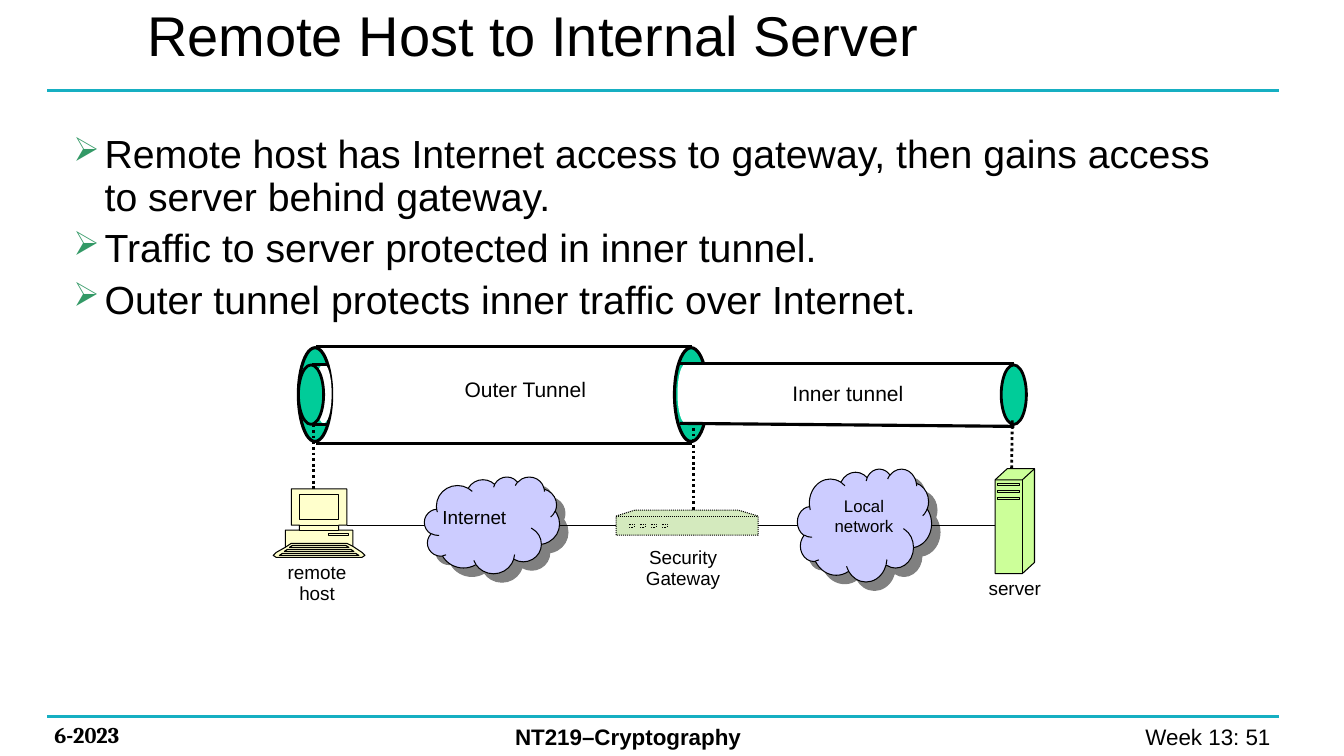
from lxml.etree import SubElement
from pptx import Presentation
from pptx.dml.color import RGBColor
from pptx.enum.dml import MSO_LINE as Dash
from pptx.enum.shapes import MSO_CONNECTOR as Connector, MSO_SHAPE as Preset
from pptx.enum.text import MSO_ANCHOR as Anchor, MSO_AUTO_SIZE as AutoSize, PP_ALIGN as Align
from pptx.oxml import parse_xml
from pptx.oxml.ns import qn
from pptx.util import Pt

SCALE = 9144
BLACK, WHITE, TEAL, GREEN = "000000", "FFFFFF", "16AFC2", "00CC99"
BULLETS = [
    "Remote host has Internet access to gateway, then gains access to server behind gateway.",
    "Traffic to server protected in inner tunnel.",
    "Outer tunnel protects inner traffic over Internet.",
]
CENTER = {"alignment": Align.CENTER}
CAPTION = {"alignment": Align.CENTER, "line_spacing": 0.5, "space_before": Pt(7)}
SHADOW = (
    '<a:effectLst xmlns:a="http://schemas.openxmlformats.org/drawingml/2006/main">'
    '<a:outerShdw dist="107950" dir="2700000" algn="ctr" rotWithShape="0">'
    '<a:srgbClr val="808080"/></a:outerShdw></a:effectLst>'
)


def color(code):
    """Turn a hex string into a colour."""
    return RGBColor.from_string(code)


def emu(*lengths):
    """Turn px lengths into EMU."""
    return [length * SCALE for length in lengths]


def style(shape, fill, width, dash=None):
    """Set fill and outline; None leaves either out."""
    shape.shadow.inherit = False
    if fill:
        shape.fill.solid()
        shape.fill.fore_color.rgb = color(fill)
    else:
        shape.fill.background()
    if width:
        shape.line.color.rgb = color(BLACK)
        shape.line.width = Pt(width)
        shape.line.dash_style = dash
    else:
        shape.line.fill.background()
    return shape


def add_preset(page, kind, box, fill, width=None, dash=None):
    """Add a preset shape."""
    return style(page.shapes.add_shape(kind, *emu(*box)), fill, width, dash)


def add_outline(page, origin, points, fill=None, dash=None):
    """Add a polygon, or an open line when it has no fill."""
    left, top = origin
    corners = [(left + x, top + y) for x, y in points]
    builder = page.shapes.build_freeform(*corners[0], scale=SCALE)
    builder.add_line_segments(corners[1:], close=bool(fill))
    return style(builder.convert_to_shape(), fill, 0.75, dash)


def add_line(page, start, end, width=0.75, tint=BLACK, dash=None):
    """Add a straight line without a shadow."""
    line = page.shapes.add_connector(Connector.STRAIGHT, *emu(*start, *end))
    line.line.color.rgb = color(tint)
    line.line.width = Pt(width)
    line.line.dash_style = dash
    SubElement(line.element.spPr, qn("a:effectLst"))


def write(frame, texts, size, layout=None, wrap=True, bold=False, name="Arial"):
    """Fill a text frame with one paragraph for each text."""
    frame.word_wrap = wrap
    frame.auto_size = AutoSize.NONE
    look = {"size": Pt(size), "bold": bold, "name": name}
    for index, text in enumerate(texts):
        para = frame.add_paragraph() if index else frame.paragraphs[0]
        para.text = text
        for key, value in (layout or {}).items():
            setattr(para, key, value)
        for key, value in look.items():
            setattr(para.font, key, value)
        para.font.color.rgb = color(BLACK)
    return frame


def add_text(page, box, *texts, **formats):
    """Add a text box."""
    return write(page.shapes.add_textbox(*emu(*box)).text_frame, texts, **formats)


def build_header(page, box):
    """Place the title and the rule under it."""
    left, top, width, height = box
    title = page.shapes.title
    places = zip(("left", "top", "width", "height"), emu(left + 89, top, 871, 65))
    for key, value in places:
        setattr(title, key, value)
    write(title.text_frame, ["Remote Host to Internal Server"], 40, {"alignment": Align.LEFT})
    title.text_frame.vertical_anchor = Anchor.MIDDLE
    add_line(page, (left, top + height), (left + width, top + height), 2.25, TEAL)


def build_bullets(page, box):
    """Place the bulleted text."""
    layout = {"line_spacing": 0.9, "space_before": Pt(6.5)}
    frame = add_text(page, box, *BULLETS, size=28, layout=layout)
    for para in frame.paragraphs:
        props = para._p.get_or_add_pPr()
        props.set("marL", str(81 * SCALE))
        props.set("indent", str(-31 * SCALE))
        SubElement(SubElement(props, qn("a:buClr")), qn("a:srgbClr"), val="339966")
        SubElement(props, qn("a:buSzPct"), val="85000")
        SubElement(props, qn("a:buChar"), char="➢")


def build_footer(page, box):
    """Place the footer rule and its three texts."""
    left, top, width, height = box
    add_line(page, (left, top), (left + width, top), 2.25, TEAL)
    add_text(page, (left - 3, top, 178, height), "6-2023", size=16, bold=True, name="Cambria")
    add_text(page, (left + 454, top + 1, 409, height), "NT219–Cryptography", size=16, bold=True)
    add_text(page, (left + 929, top + 1, 294, height), "Week 13: 51", size=16,
             layout={"alignment": Align.RIGHT})


def build_tunnels(page, box):
    """Draw the outer tunnel with the inner tunnel leaving it."""
    left, top, width, height = box
    for x in (left, left + 373):
        add_preset(page, Preset.OVAL, (x, top + 1, 33, 93), GREEN, 2.25)
    add_text(page, (left + 38, top + 25, 374, 35), "Outer Tunnel", size=15, layout=CENTER)
    add_line(page, (left + 15, top + 77), (left + 15, top + 178), 2, dash=Dash.ROUND_DOT)
    inner = add_preset(page, Preset.RECTANGLE, (left + 384, top + 17, 322, 58), WHITE)
    write(inner.text_frame, ["Inner tunnel"], 15, CENTER, wrap=False)
    inner.text_frame.vertical_anchor = Anchor.MIDDLE
    for x in (left + 376, left + 17):
        add_preset(page, Preset.OVAL, (x, top + 17, 16, 59), WHITE)
    for x in (left + width - 25, left):
        add_preset(page, Preset.OVAL, (x, top + 18, 25, 59), GREEN, 2)
    for y in (top + 18, top + 77):
        add_line(page, (left + 13, y), (left + 30, y), 2)
    for y in (top, top + height):
        add_line(page, (left + 17, y), (left + 390, y), 2.25)
    for near, far in ((17, 17), (76, 79)):
        add_line(page, (left + 378, top + near), (left + 710, top + far), 2.25)
    add_line(page, (left + 708, top + 73), (left + 707, top + 149), 2, dash=Dash.ROUND_DOT)
    add_line(page, (left + 392, top + 75), (left + 392, top + 177), 2, dash=Dash.ROUND_DOT)


def build_host(page, box):
    """Draw the remote computer with its caption."""
    left, top, width, height = box
    fill = "FFFFCC"
    body = [(88, 63), (79, 57), (79, 41), (65, 41), (65, 36), (73, 36), (73, 0), (18, 0),
            (18, 36), (26, 36), (26, 41), (12, 41), (12, 58), (3, 63), (0, 66), (3, height),
            (88, height), (width, 66)]
    add_outline(page, (left, top), body, fill)
    for x, y, w, h in ((26, 6, 39, 24), (26, 36, 39, 5), (55, 44, 20, 2)):
        add_preset(page, Preset.RECTANGLE, (left + x, top + y, w, h), fill, 0.75)
    add_outline(page, (left, top), [(79, 57), (73, 54), (18, 54), (12, 58)])
    for row in range(3):
        x, y = 16 - 5 * row, 56 + 4 * row
        keys = [(x, y + 2), (x + 3, y), (width - x - 3, y), (width - x, y + 2)]
        add_outline(page, (left, top), keys, fill)
    add_text(page, (left - 23, top + 76, 133, 46), "remote", "host", size=13.5, layout=CAPTION)


def build_gateway(page, box):
    """Draw the security gateway with its caption."""
    left, top, width, height = box
    fill, dash = "D4EABE", Dash.ROUND_DOT
    body = [(0, 6), (19, 0), (width - 20, 0), (width, 6), (width, height), (0, height)]
    add_outline(page, (left, top), body, fill, dash)
    add_line(page, (left, top + 6), (left + width, top + 6), dash=dash)
    for port in range(4):
        add_preset(page, Preset.RECTANGLE, (left + 13 + 11 * port, top + 14, 5, 3), fill, 0.75, dash)
    add_text(page, (left, top + 40, 133, 46), "Security", "Gateway", size=13.5, layout=CAPTION)


def build_server(page, box):
    """Draw the server tower with its caption."""
    left, top, width, height = box
    fill = "CCFF99"
    body = [(0, 11), (12, 0), (width, 0), (width, height - 11), (27, height), (0, height)]
    add_outline(page, (left, top), body, fill)
    add_outline(page, (left, top), [(0, 11), (27, 11), (width, 0)])
    add_line(page, (left + 27, top + 11), (left + 27, top + height))
    for slot in range(3):
        add_preset(page, Preset.RECTANGLE, (left + 2, top + 15 + 7 * slot, 22, 2), fill, 0.75)
    add_text(page, (left - 47, top + 112, 133, 23), "server", size=13.5, layout=CAPTION)


def build_cloud(page, box, label_box, text, **formats):
    """Draw a network cloud with its label."""
    left, top, width, height = box
    x, y, w, h = label_box
    cloud = add_preset(page, Preset.CLOUD, box, "CCCCFF", 0.75)
    props = cloud.element.spPr
    props.replace(props.find(qn("a:effectLst")), parse_xml(SHADOW))
    add_text(page, (left + x, top + y, w, h), text, **formats)


def build_network(page, box):
    """Place the devices and clouds and wire them in a row."""
    left, top, width, height = box
    build_cloud(page, (left + 520, top, 133, 112), (8, 22, 116, 50), "Local network",
                size=12, layout=CENTER)
    build_host(page, (left, top + 20, 91, 68))
    build_cloud(page, (left + 150, top + 8, 134, 96), (8, 24, 84, 33), "Internet",
                size=13.5, wrap=False)
    build_gateway(page, (left + 340, top + 41, 141, 25))
    build_server(page, (left + width - 39, top, 39, height))
    for start, end in ((73, 150), (283, 340), (481, 520), (653, 716)):
        add_line(page, (left + start, top + 56), (left + end, top + 56))


def main():
    """Build and save the slide."""
    deck = Presentation()
    deck.slide_width, deck.slide_height = emu(1333, 750)
    page = deck.slides.add_slide(deck.slide_layouts[5])
    build_header(page, (47, 1, 1222, 89))
    build_footer(page, (47, 711, 1222, 37))
    build_bullets(page, (13, 129, 1221, 136))
    build_tunnels(page, (296, 344, 722, 96))
    build_network(page, (271, 465, 755, 104))
    deck.save("out.pptx")


if __name__ == "__main__":
    main()
